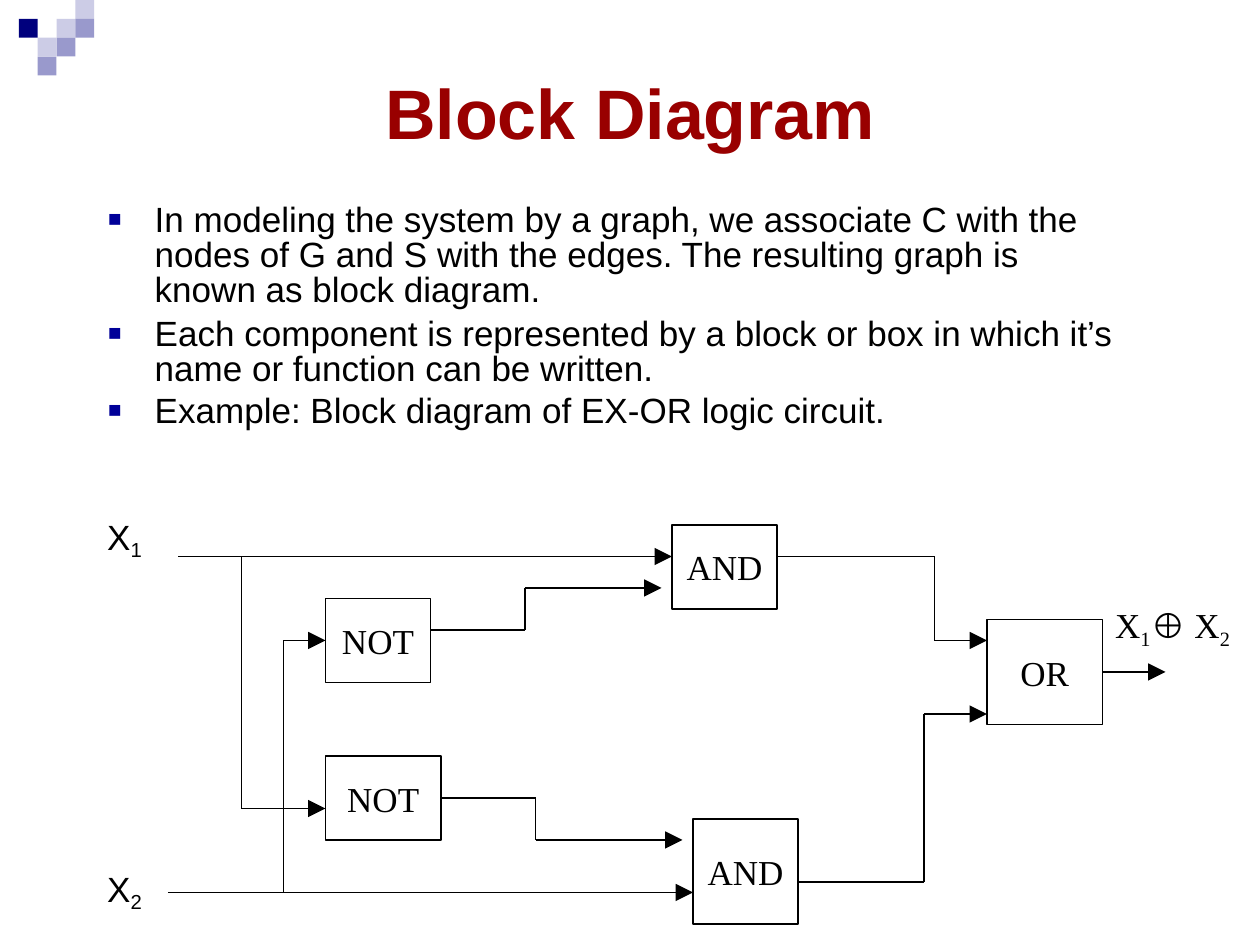
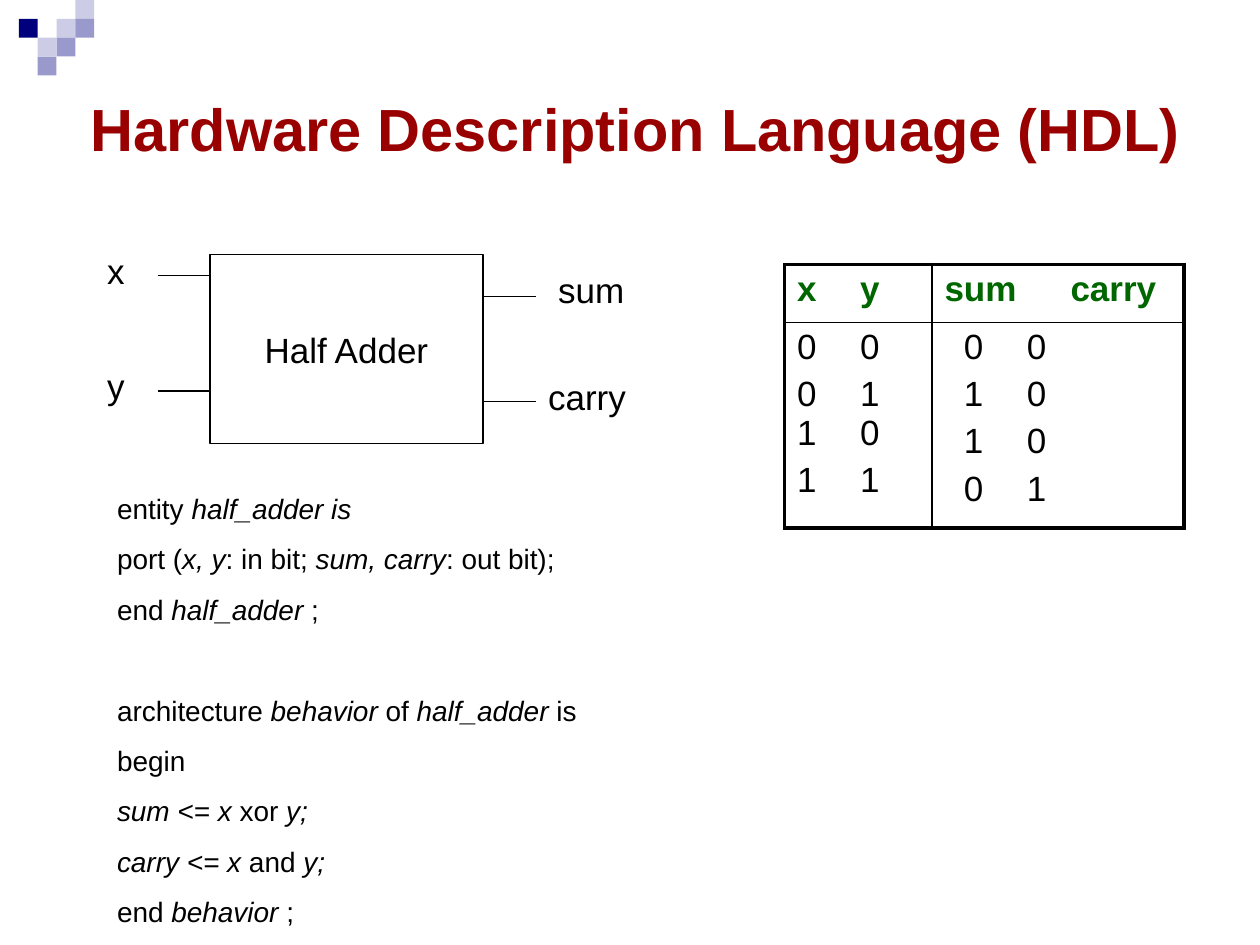
"""Builds two slides: a block diagram of EX-OR logic and a half adder in HDL."""
from itertools import cycle, pairwise

from lxml.etree import SubElement
from pptx import Presentation
from pptx.dml.color import RGBColor
from pptx.enum.shapes import MSO_CONNECTOR, MSO_SHAPE
from pptx.enum.text import MSO_ANCHOR, PP_ALIGN
from pptx.oxml.ns import qn
from pptx.util import Cm, Pt

SANS, SERIF = "Arial", "Times New Roman"
BLACK, TITLE_RED, HEADER_GREEN, BULLET_BLUE = "000000", "990000", "006600", "000099"
NAVY, LAVENDER, PALE = "00007D", "9999CC", "CCCCE6"
GRID = Cm(2.54) / 12
SQUARE = 0.38

CORNER_SQUARES = [
    (PALE, [(4, 0), (3, 1), (2, 2)]),
    (LAVENDER, [(4, 1), (3, 2), (2, 3)]),
    (NAVY, [(1, 1)]),
]

BULLETS = [
    ("In modeling the system by a graph, we associate C with the nodes of G "
     "and S with the edges. The resulting graph is known as block diagram.", 0.84, 0),
    ("Each component is represented by a block or box in which it’s name or "
     "function can be written.", 0.84, 4.8),
    ("Example: Block diagram of EX-OR logic circuit.", 1.0, 0),
]

GATES = [
    ("AND", 64, 50, 10, 8),
    ("AND", 66, 78, 10, 10),
    ("NOT", 31, 57, 10, 8),
    ("NOT", 31, 72, 11, 8),
    ("OR", 94, 59, 11, 10),
]
GATE_WIRES = [
    [(17, 53), (64, 53)],
    [(16, 85), (66, 85)],
    [(23, 53), (23, 77), (31, 77)],
    [(27, 85), (27, 61), (31, 61)],
    [(41, 60), (50, 60), (50, 56), (63, 56)],
    [(42, 76), (51, 76), (51, 80), (65, 80)],
    [(74, 53), (89, 53), (89, 61), (94, 61)],
    [(76, 84), (88, 84), (88, 68), (94, 68)],
    [(105, 64), (111, 64)],
]
SIGNALS = [
    (("X", "1"), 2.16, 10.39, SANS),
    (("X", "2"), 2.16, 17.48, SANS),
    (("X", "1", "⊕ X", "2"), 22.48, 12.17, SERIF),
]

ADDER = ("Half Adder", 20, 24.25, 26, 18)
ADDER_WIRES = [
    [(15, 26.25), (20, 26.25)],
    [(15, 37.25), (20, 37.25)],
    [(46, 28.25), (51, 28.25)],
    [(46, 38.25), (51, 38.25)],
]
PORTS = [
    ("x", 2.16, 5.03),
    ("y", 2.16, 7.34),
    ("sum", 11.25, 5.41),
    ("carry", 11.05, 7.57),
]
CODE = [
    ("entity ", "half_adder is"),
    ("port (", "x, y", ": in bit; ", "sum, carry", ": out bit);"),
    ("end ", "half_adder ", ";"),
    ("architecture ", "behavior ", "of ", "half_adder ", "is"),
    ("begin",),
    ("", "sum <= x ", "xor ", "y;"),
    ("", "carry <= x ", "and ", "y;"),
    ("end ", "behavior ", ";"),
]
CODE_LINE = 28.8

TRUTH_TABLE = [
    [(["x\ty"], 0.25, 2.01, [0]), (["sum\tcarry"], 0.25, 2.46, [0])],
    [(["0\t0", "0\t1", "1\t0", "1\t1"], 0.25, 1.8, [0, 4.8, 0, 4.8]),
     (["0\t0", "1\t0", "1\t0", "0\t1"], 0.64, 2.97, [0, 4.8, 4.8, 4.8])],
]
COLUMN_WIDTHS, ROW_HEIGHTS = (2.97, 5.08), (1.17, 4.14)


def color(value):
    return RGBColor.from_string(value)


def child(parent, tag, **attributes):
    return SubElement(parent, qn(tag), attributes)


def write(paragraph, parts, size=20, font=SANS, ink=BLACK, bold=False, mark="italic"):
    for text, marked in zip(parts, cycle((False, True))):
        if not text:
            continue
        run = paragraph.add_run()
        run.text = text
        run.font.size, run.font.name, run.font.bold = Pt(size), font, bold
        run.font.color.rgb = color(ink)
        if marked and mark == "italic":
            run.font.italic = True
        elif marked:
            run._r.get_or_add_rPr().set("baseline", "-21000")


def clear_margins(frame):
    frame.margin_left = frame.margin_right = frame.margin_top = frame.margin_bottom = 0


def add_text_frame(slide, left, top, width, height, wrap=True):
    frame = slide.shapes.add_textbox(Cm(left), Cm(top), Cm(width), Cm(height)).text_frame
    clear_margins(frame)
    frame.word_wrap = wrap
    return frame


def paragraphs_of(frame, count):
    return [frame.paragraphs[0]] + [frame.add_paragraph() for _ in range(count - 1)]


def add_label(slide, parts, left, top, font=SANS):
    frame = add_text_frame(slide, left, top, 2.6, 0.9, wrap=False)
    write(frame.paragraphs[0], parts, font=font, mark="subscript")


def add_box(slide, left, top, width, height, fill=None):
    shape = slide.shapes.add_shape(
        MSO_SHAPE.RECTANGLE, *(round(length) for length in (left, top, width, height)))
    shape.shadow.inherit = False
    if fill:
        shape.fill.solid()
        shape.fill.fore_color.rgb = color(fill)
        shape.line.fill.background()
    else:
        shape.fill.background()
        shape.line.color.rgb = color(BLACK)
        shape.line.width = Pt(1)
    return shape


def add_block(slide, name, left, top, width, height, font):
    shape = add_box(slide, *(length * GRID for length in (left, top, width, height)))
    frame = shape.text_frame
    clear_margins(frame)
    frame.vertical_anchor = MSO_ANCHOR.MIDDLE
    frame.paragraphs[0].alignment = PP_ALIGN.CENTER
    write(frame.paragraphs[0], [name], font=font)


def add_wire(slide, points, arrow=False):
    for start, end in pairwise(points):
        line = slide.shapes.add_connector(
            MSO_CONNECTOR.STRAIGHT, *(round(value * GRID) for value in start + end))
        line.line.color.rgb = color(BLACK)
        line.line.width = Pt(1)
        if arrow and end == points[-1]:
            child(line.line._get_or_add_ln(), "a:tailEnd", type="triangle", w="lg", len="lg")
        child(line._element.spPr, "a:effectLst")


def add_bullets(slide):
    frame = add_text_frame(slide, 2.13, 4.11, 20.45, 4.5)
    for paragraph, (text, spacing, before) in zip(paragraphs_of(frame, len(BULLETS)), BULLETS):
        paragraph.line_spacing = spacing
        paragraph.space_before = Pt(before)
        properties = paragraph._p.get_or_add_pPr()
        properties.set("marL", str(Cm(0.99)))
        properties.set("indent", str(-Cm(0.96)))
        child(child(properties, "a:buClr"), "a:srgbClr", val=BULLET_BLUE)
        child(properties, "a:buSzPct", val="125000")
        child(properties, "a:buFont", typeface=SANS)
        child(properties, "a:buChar", char="▪")
        write(paragraph, [text])


def add_code(slide):
    frame = add_text_frame(slide, 2.36, 9.57, 12, 9.2)
    for paragraph, parts in zip(paragraphs_of(frame, len(CODE)), CODE):
        paragraph.line_spacing = Pt(CODE_LINE)
        if parts[0].startswith("architecture"):
            paragraph.space_before = Pt(CODE_LINE)
        write(paragraph, parts, size=16)


def set_borders(cell, widths):
    properties = cell._tc.get_or_add_tcPr()
    for index, (side, width) in enumerate(zip(("lnL", "lnR", "lnT", "lnB"), widths)):
        line = properties.makeelement(qn(f"a:{side}"), {"w": str(Pt(width))})
        child(child(line, "a:solidFill"), "a:srgbClr", val=BLACK)
        properties.insert(index, line)


def add_truth_table(slide):
    table = slide.shapes.add_table(
        2, 2, Cm(15.82), Cm(5.33), Cm(sum(COLUMN_WIDTHS)), Cm(sum(ROW_HEIGHTS))).table
    table.first_row = table.horz_banding = False
    for column, width in zip(table.columns, COLUMN_WIDTHS):
        column.width = Cm(width)
    for row, height in zip(table.rows, ROW_HEIGHTS):
        row.height = Cm(height)
    outer, inner = 2.25, 1
    for i, row in enumerate(TRUTH_TABLE):
        for j, (lines, indent, tab, gaps) in enumerate(row):
            cell = table.cell(i, j)
            cell.fill.background()
            clear_margins(cell)
            cell.margin_top = Cm(0.1)
            set_borders(cell, (inner if j else outer, outer if j else inner,
                               inner if i else outer, outer if i else inner))
            paragraphs = paragraphs_of(cell.text_frame, len(lines))
            for paragraph, line, gap in zip(paragraphs, lines, gaps):
                paragraph.space_before = Pt(gap)
                properties = paragraph._p.get_or_add_pPr()
                properties.set("marL", str(Cm(indent)))
                properties.set("indent", "0")
                child(child(properties, "a:tabLst"), "a:tab", pos=str(Cm(tab)), algn="l")
                write(paragraph, [line], ink=BLACK if i else HEADER_GREEN, bold=not i)


def add_slide(presentation, title, size, left, top):
    slide = presentation.slides.add_slide(presentation.slide_layouts[6])
    for fill, squares in CORNER_SQUARES:
        for column, row in squares:
            add_box(slide, Cm(column * SQUARE), Cm(row * SQUARE), Cm(SQUARE), Cm(SQUARE), fill)
    frame = add_text_frame(slide, left, top, 23, 1.8, wrap=False)
    write(frame.paragraphs[0], [title], size=size, ink=TITLE_RED, bold=True)
    return slide


def build_block_diagram(presentation):
    slide = add_slide(presentation, "Block Diagram", 40, 7.77, 1.4)
    add_bullets(slide)
    for gate in GATES:
        add_block(slide, *gate, font=SERIF)
    for points in GATE_WIRES:
        add_wire(slide, points, arrow=True)
    for signal in SIGNALS:
        add_label(slide, *signal)


def build_hdl(presentation):
    slide = add_slide(presentation, "Hardware Description Language (HDL)", 34, 1.83, 1.86)
    add_block(slide, *ADDER, font=SANS)
    for points in ADDER_WIRES:
        add_wire(slide, points)
    for name, left, top in PORTS:
        add_label(slide, [name], left, top)
    add_code(slide)
    add_truth_table(slide)


def main():
    presentation = Presentation()
    presentation.slide_width, presentation.slide_height = Cm(25.4), Cm(19.05)
    build_block_diagram(presentation)
    build_hdl(presentation)
    presentation.save("out.pptx")


if __name__ == "__main__":
    main()
